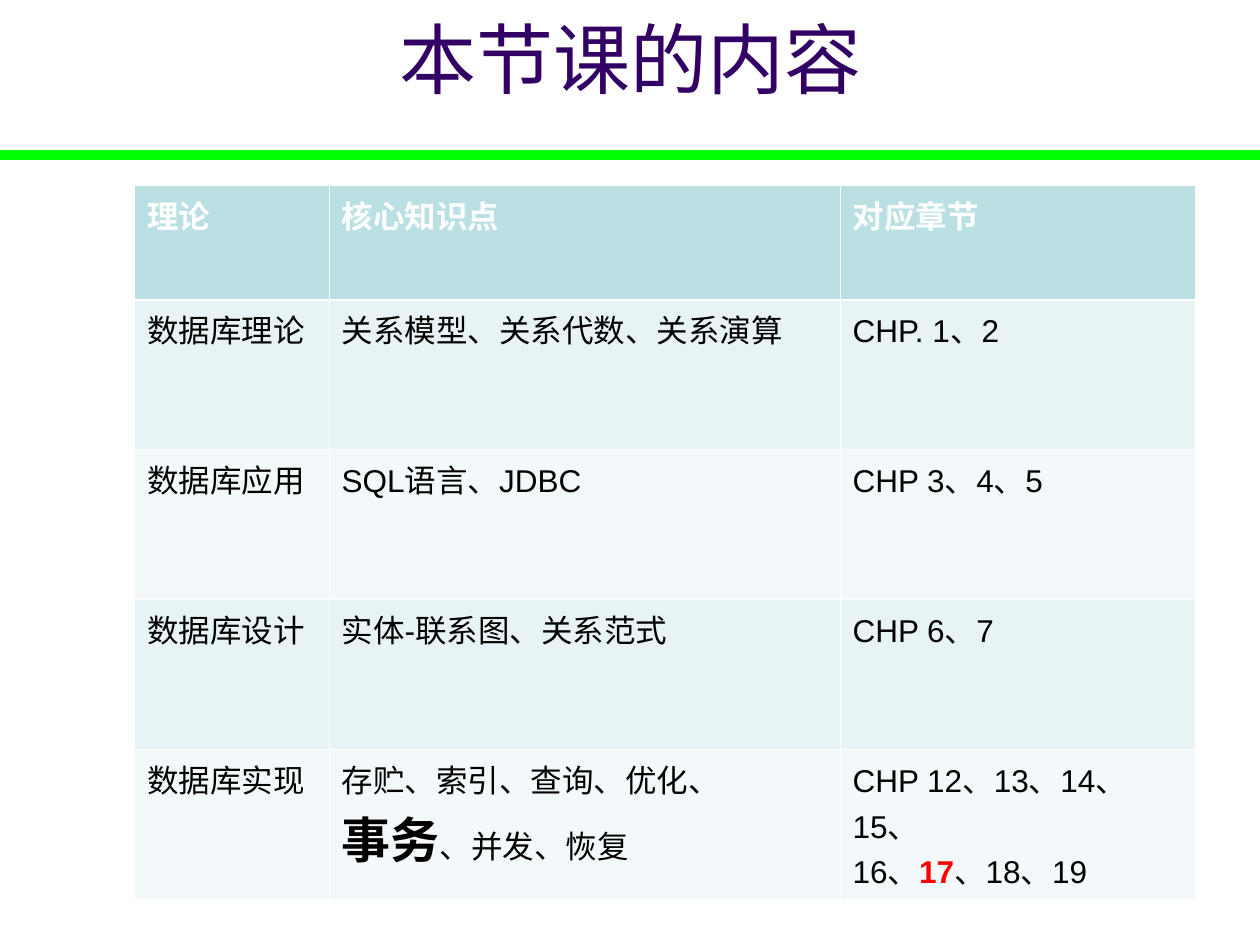
from dataclasses import dataclass

from lxml import etree
from pptx import Presentation
from pptx.dml.color import RGBColor
from pptx.enum.shapes import MSO_CONNECTOR
from pptx.enum.text import MSO_ANCHOR, PP_ALIGN
from pptx.oxml.ns import qn
from pptx.util import Inches, Pt

STRAIGHT = MSO_CONNECTOR.STRAIGHT
MIDDLE = MSO_ANCHOR.MIDDLE
CENTER = PP_ALIGN.CENTER


@dataclass(frozen=True)
class Theme:
    font: str = "Arial"
    title_size: float = 44
    body_size: float = 18
    key_size: float = 28
    title: str = "320064"
    rule: str = "00FF00"
    rule_width: float = 6.25
    header_fill: str = "BBE0E3"
    bands: tuple = ("E7F3F4", "F3F9FA")
    header_text: str = "FFFFFF"
    body_text: str = "000000"
    highlight: str = "FF0000"
    border: str = "FFFFFF"
    thin: float = 0.45
    thick: float = 1.47


THEME = Theme()

# Run styles that differ from the plain text of a cell
KEY_TOPIC = {"size": THEME.key_size, "bold": True}
KEY_CHAPTER = {"color": THEME.highlight, "bold": True}

TITLE = "本节课的内容"
HEADER = ["理论", "核心知识点", "对应章节"]
# A cell is a text, or a list of paragraphs made of (text, style) runs
TOPICS = [
    ["数据库理论", "关系模型、关系代数、关系演算", "CHP. 1、2"],
    ["数据库应用", "SQL语言、JDBC", "CHP 3、4、5"],
    ["数据库设计", "实体-联系图、关系范式", "CHP 6、7"],
    ["数据库实现",
     [[("存贮、索引、查询、优化、", {})],
      [("事务", KEY_TOPIC), ("、并发、恢复", {})]],
     [[("CHP 12、13、14、15、", {})],
      [("16、", {}), ("17", KEY_CHAPTER), ("、18、19", {})]]],
]
COLUMN_WIDTHS = [1.54, 4.05, 2.82]
HEADER_HEIGHT, TOPIC_HEIGHT = 0.91, 1.19


def style_run(run, size=THEME.body_size, color=THEME.body_text, bold=False):
    run.font.name = THEME.font
    run.font.size = Pt(size)
    run.font.bold = bold
    run.font.color.rgb = RGBColor.from_string(color)


def add_rule(slide, left, top, width):
    rule = slide.shapes.add_connector(STRAIGHT, left, top, left + width, top)
    rule.line.color.rgb = RGBColor.from_string(THEME.rule)
    rule.line.width = Pt(THEME.rule_width)
    etree.SubElement(rule._element.spPr, qn("a:effectLst"))


def add_title(slide, left, top, width, height):
    frame = slide.shapes.add_textbox(left, top, width, height).text_frame
    frame.word_wrap = True
    frame.vertical_anchor = MIDDLE
    frame.text = TITLE
    paragraph = frame.paragraphs[0]
    paragraph.alignment = CENTER
    style_run(paragraph.runs[0], THEME.title_size, THEME.title)


def set_borders(cell, top, bottom):
    properties = cell._tc.get_or_add_tcPr()
    widths = {"L": THEME.thin, "R": THEME.thin, "T": top, "B": bottom}
    for side, width in widths.items():
        line = etree.SubElement(properties, qn(f"a:ln{side}"), w=str(Pt(width)))
        fill = etree.SubElement(line, qn("a:solidFill"))
        etree.SubElement(fill, qn("a:srgbClr"), val=THEME.border)


def fill_cell(cell, content, is_header):
    base = {"color": THEME.header_text, "bold": True} if is_header else {}
    paragraphs = [[(content, {})]] if isinstance(content, str) else content
    frame = cell.text_frame
    for index, runs in enumerate(paragraphs):
        paragraph = frame.add_paragraph() if index else frame.paragraphs[0]
        for text, style in runs:
            run = paragraph.add_run()
            run.text = text
            style_run(run, **{**base, **style})


def add_topic_table(slide, left, top, width, height):
    rows = [HEADER] + TOPICS
    table = slide.shapes.add_table(
        len(rows), len(HEADER), left, top, width, height).table
    for column, share in zip(table.columns, COLUMN_WIDTHS):
        column.width = int(width * share / sum(COLUMN_WIDTHS))

    row_heights = [HEADER_HEIGHT] + [TOPIC_HEIGHT] * len(TOPICS)
    for r, (contents, share) in enumerate(zip(rows, row_heights)):
        table.rows[r].height = int(height * share / sum(row_heights))
        # Header row, then alternating bands
        color = THEME.bands[(r - 1) % 2] if r else THEME.header_fill
        for c, content in enumerate(contents):
            cell = table.cell(r, c)
            set_borders(cell,
                        top=THEME.thick if r == 1 else THEME.thin,
                        bottom=THEME.thick if r == 0 else THEME.thin)
            cell.fill.solid()
            cell.fill.fore_color.rgb = RGBColor.from_string(color)
            fill_cell(cell, content, is_header=r == 0)


def main():
    deck = Presentation()
    deck.slide_width, deck.slide_height = Inches(10), Inches(7.5)
    slide = deck.slides.add_slide(deck.slide_layouts[6])

    def across(share):
        return int(deck.slide_width * share)

    def down(share):
        return int(deck.slide_height * share)

    add_rule(slide, 0, down(0.164), across(1))
    add_title(slide, across(0.069), 0, across(0.863), down(0.123))
    add_topic_table(slide, across(0.107), down(0.196), across(0.842), down(0.756))
    deck.save("out.pptx")


if __name__ == "__main__":
    main()
